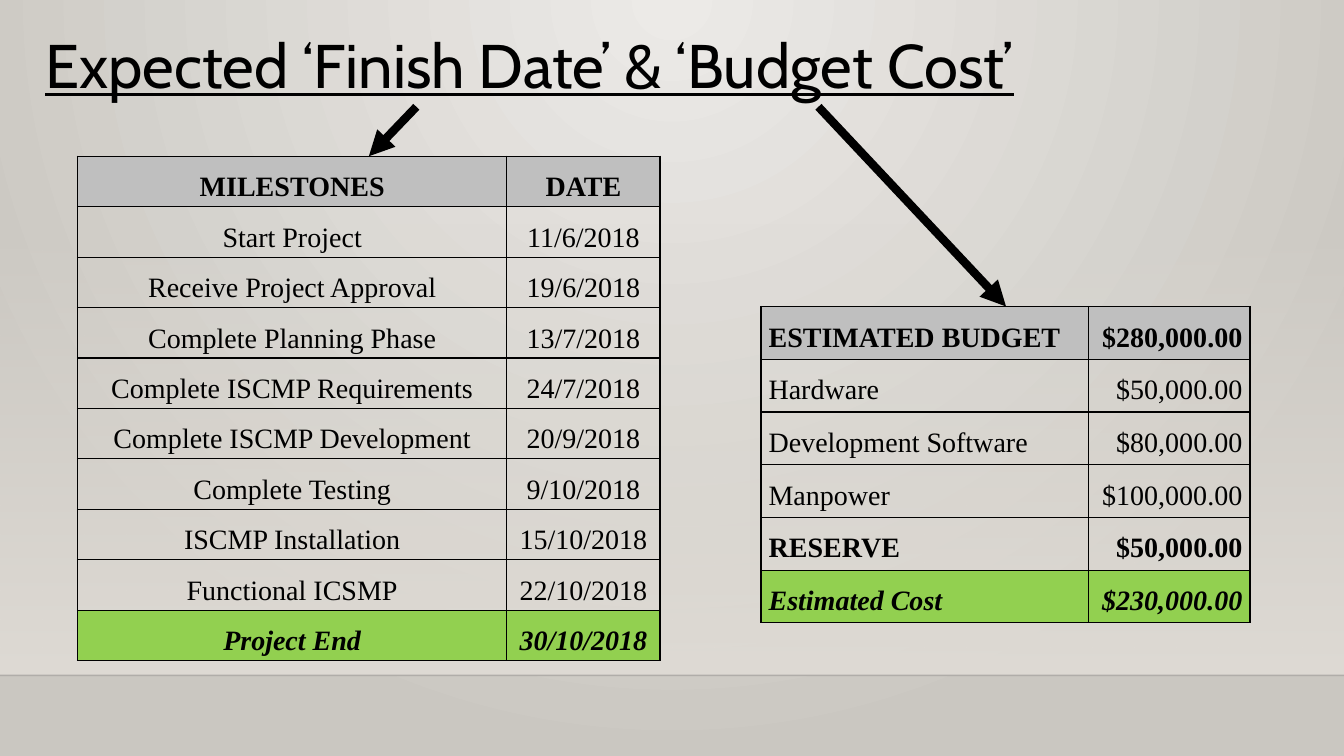
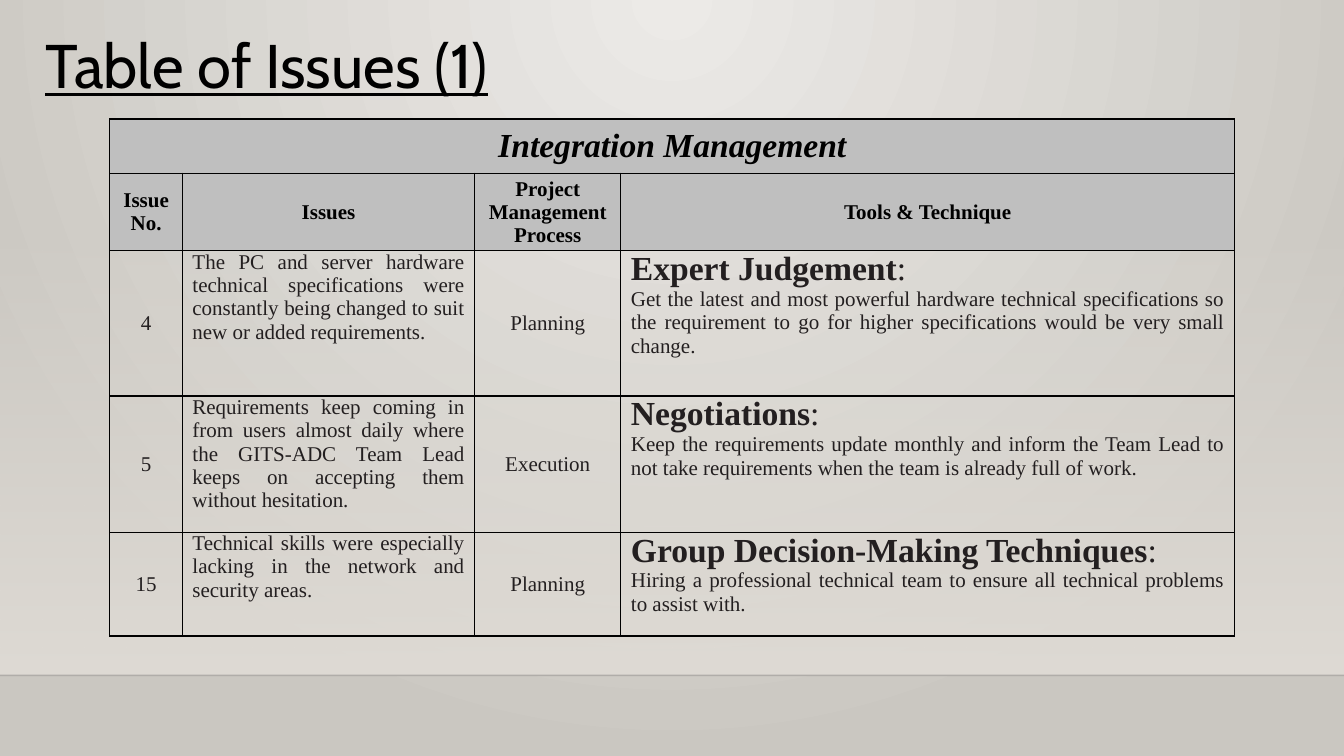
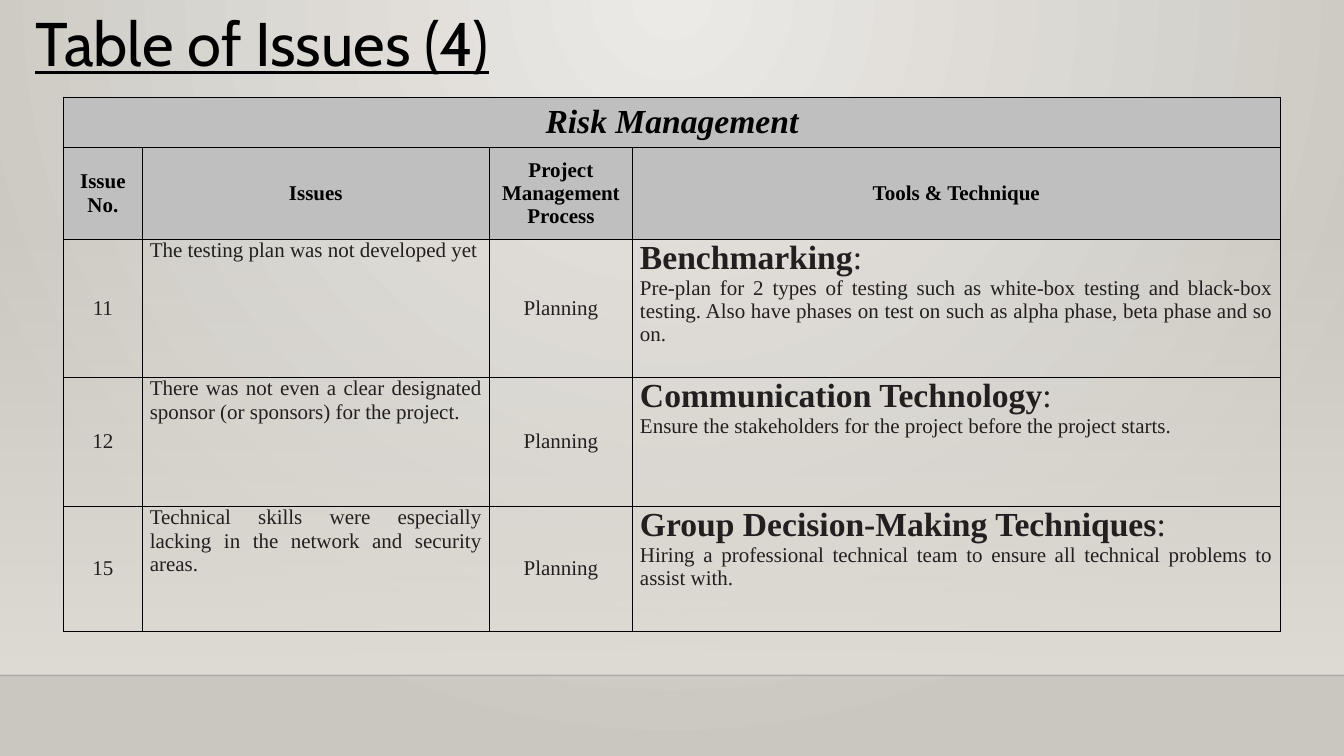
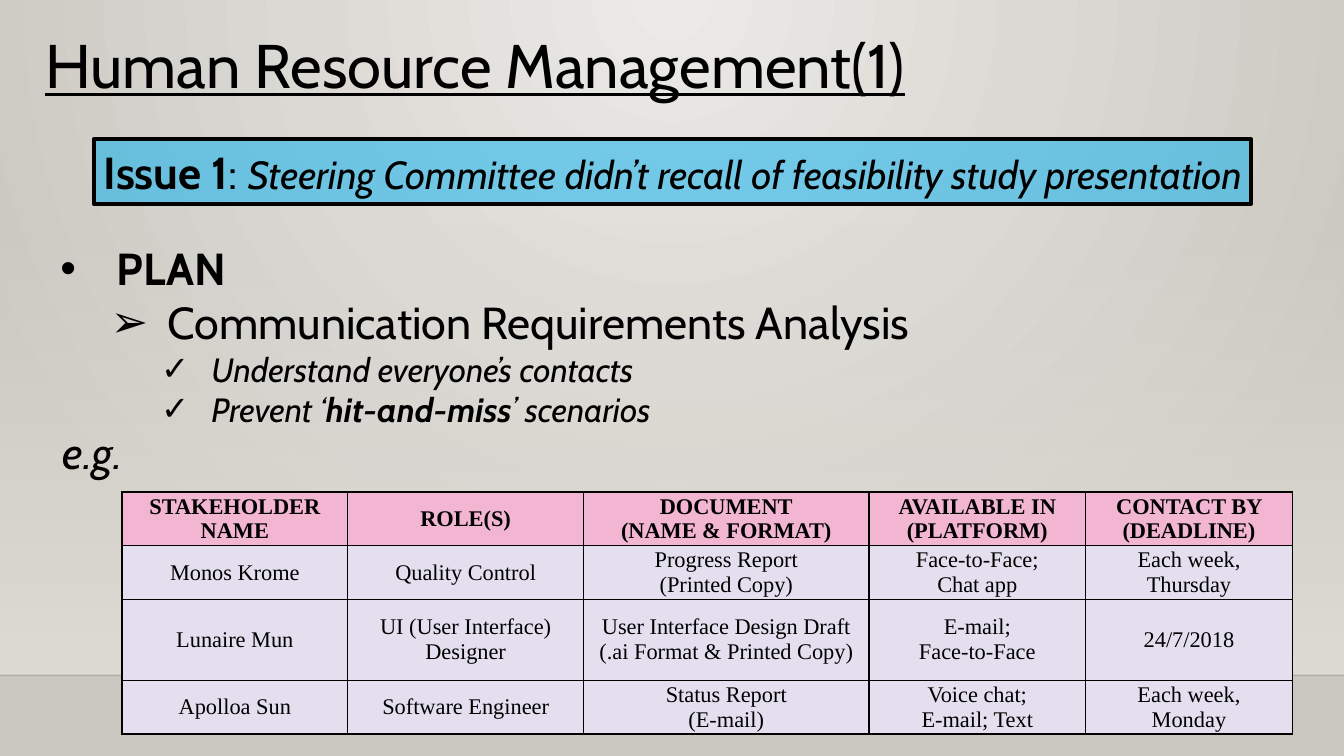
import dataclasses
import typing

import lxml.etree
import pptx
import pptx.dml.color
import pptx.dml.fill
import pptx.enum.shapes
import pptx.enum.text
import pptx.oxml.ns
import pptx.presentation
import pptx.slide
import pptx.table
import pptx.text.text
import pptx.util

Pt = pptx.util.Pt
qn = pptx.oxml.ns.qn
Align = pptx.enum.text.PP_ALIGN
Anchor = pptx.enum.text.MSO_ANCHOR

# Shared look
WIDE, HIGH = 960, 540
FLOOR = 482.4
SANS, SERIF = "Cabin", "Times New Roman"
HUES = {
    "black": "000000", "ink": "231F20", "grey": "BFBFBF", "green": "92D050",
    "pink": "F2B5D2", "lilac": "E4DFEF", "blue": "00B0F0",
    "light": "ECEAE7", "dark": "CAC7C1", "sand": "DFDBD5", "rule": "000001",
}


@dataclasses.dataclass(frozen=True)
class Run:
    text: str
    size: float
    bold: bool = False
    slant: bool = False
    under: bool = False


@dataclasses.dataclass(frozen=True)
class Line:
    runs: tuple[Run, ...]
    align: typing.Any = Align.LEFT
    space: float = 1.0
    mark: str = ""
    level: int = 0
    left: float = 0
    hang: float = 0


@dataclasses.dataclass(frozen=True)
class Cell:
    lines: tuple[Line, ...]
    fill: str = ""
    hue: str = "black"
    mid: bool = True
    pad: tuple[float, float] = (5.4, 0)


@dataclasses.dataclass(frozen=True)
class Grid:
    left: float
    top: float
    cols: tuple[float, ...]
    rows: tuple[float, ...]
    cells: list[list[Cell]]


@dataclasses.dataclass(frozen=True)
class Box:
    left: float
    top: float
    width: float
    height: float


@dataclasses.dataclass(frozen=True)
class Arrow:
    start: tuple[float, float]
    end: tuple[float, float]


def tint(name: str) -> pptx.dml.color.RGBColor:
    return pptx.dml.color.RGBColor.from_string(HUES[name])


def fade(node: typing.Any, share: int) -> None:
    """Give a colour node an opacity in percent."""
    lxml.etree.SubElement(node, qn("a:alpha"), val=str(share * 1000))


def blend(fill: pptx.dml.fill.FillFormat, first: str, last: str) -> None:
    fill.gradient()
    for stop, name in zip(fill.gradient_stops, (first, last)):
        stop.color.rgb = tint(name)


# Text
def write(frame: pptx.text.text.TextFrame, lines: tuple[Line, ...],
          face: str = SANS, hue: str = "black") -> None:
    for pos, line in enumerate(lines):
        para = frame.add_paragraph() if pos else frame.paragraphs[0]
        para.text = line.runs[0].text
        for more in line.runs[1:]:
            para.add_run().text = more.text
        para.alignment = line.align
        para.line_spacing = line.space
        para.level = line.level
        if line.mark:
            props = para._p.get_or_add_pPr()
            props.set("marL", str(Pt(line.left)))
            props.set("indent", str(Pt(-line.hang)))
            lxml.etree.SubElement(props, qn("a:buFont"), typeface="Arial")
            lxml.etree.SubElement(props, qn("a:buChar"), char=line.mark)
        for part, run in zip(para.runs, line.runs):
            font = part.font
            font.name, font.size = face, Pt(run.size)
            font.bold, font.italic = run.bold, run.slant
            font.underline = run.under
            font.color.rgb = tint(hue)


def place(slide: pptx.slide.Slide, box: Box, lines: tuple[Line, ...]) -> None:
    shape = slide.shapes.add_textbox(
        Pt(box.left), Pt(box.top), Pt(box.width), Pt(box.height))
    frame = shape.text_frame
    frame.word_wrap = True
    frame.auto_size = pptx.enum.text.MSO_AUTO_SIZE.SHAPE_TO_FIT_TEXT
    write(frame, lines)


def title(slide: pptx.slide.Slide, text: str, left: float = 25.2,
          top: float = 15.84, width: float = 803.5) -> None:
    place(slide, Box(left, top, width, 60.5),
          (Line((Run(text, 44, under=True),)),))


# Lines
def join(slide: pptx.slide.Slide, arrow: Arrow, name: str, width: float,
         head: bool = True) -> typing.Any:
    link = slide.shapes.add_connector(
        pptx.enum.shapes.MSO_CONNECTOR.STRAIGHT,
        *(Pt(val) for val in arrow.start + arrow.end))
    link.line.width = Pt(width)
    link.line.color.rgb = tint(name)
    if head:
        lxml.etree.SubElement(
            link.element.find(".//" + qn("a:ln")), qn("a:tailEnd"),
            type="triangle")
    lxml.etree.SubElement(link.element.spPr, qn("a:effectLst"))
    return link


# Tables
def edge(cell: pptx.table._Cell) -> None:
    props = cell._tc.get_or_add_tcPr()
    for side in "LRTB":
        line = lxml.etree.SubElement(props, qn("a:ln" + side), w=str(Pt(1)))
        solid = lxml.etree.SubElement(line, qn("a:solidFill"))
        lxml.etree.SubElement(solid, qn("a:srgbClr"), val=HUES["black"])


def dress(cell: pptx.table._Cell, style: Cell) -> None:
    edge(cell)
    if style.fill:
        cell.fill.solid()
        cell.fill.fore_color.rgb = tint(style.fill)
    else:
        cell.fill.background()
    cell.margin_left = cell.margin_right = Pt(style.pad[0])
    cell.margin_top = cell.margin_bottom = Pt(style.pad[1])
    cell.vertical_anchor = Anchor.MIDDLE if style.mid else Anchor.TOP


def draw(slide: pptx.slide.Slide, grid: Grid) -> None:
    """Draw a table; a row with a single cell spans every column."""
    table = slide.shapes.add_table(
        len(grid.rows), len(grid.cols), Pt(grid.left), Pt(grid.top),
        Pt(sum(grid.cols)), Pt(sum(grid.rows))).table
    table.first_row = table.horz_banding = False
    for col, width in zip(table.columns, grid.cols):
        col.width = Pt(width)
    for row, height in zip(table.rows, grid.rows):
        row.height = Pt(height)
    last = len(grid.cols) - 1
    for down, row in enumerate(grid.cells):
        for over in range(last + 1):
            cell = table.cell(down, over)
            style = row[min(over, len(row) - 1)]
            dress(cell, style)
            if over < len(row):
                write(cell.text_frame, style.lines, SERIF, style.hue)
        if len(row) == 1:
            table.cell(down, 0).merge(table.cell(down, last))


def ledger(pairs: list[tuple[str, str]], sides: tuple[typing.Any, ...],
           strong: tuple[int, ...] = ()) -> list[list[Cell]]:
    """Two columns with a grey head row and a green total row."""
    end = len(pairs) - 1
    fills = {0: "grey", end: "green"}
    return [
        [Cell((Line((Run(text, 20, pos in (0, end, *strong), pos == end),),
                    side, 1.5),), fills.get(pos, ""), mid=False)
         for text, side in zip(pair, sides)]
        for pos, pair in enumerate(pairs)]


def issues(name: str, items: list[tuple[str, ...]], pad: tuple[float, float],
           crown: tuple[float, float]) -> list[list[Cell]]:
    """Crown row, head row, then one row per issue."""
    def short(text: str, head: bool = False) -> Cell:
        return Cell((Line((Run(text, 15, head),), Align.CENTER),),
                    "grey" if head else "", "black" if head else "ink",
                    pad=pad)

    def prose(*lines: tuple[Run, ...]) -> Cell:
        return Cell(tuple(Line(runs, Align.JUSTIFY) for runs in lines),
                    hue="ink", mid=False, pad=pad)

    top = Cell((Line((Run(name, 24, True, True),), Align.CENTER),),
               "grey", pad=crown)
    heads = ("Issue No.", "Issues", "Project Management Process",
             "Tools & Technique")
    rows = [[top], [short(text, True) for text in heads]]
    for code, issue, phase, tool, note in items:
        rows.append([
            short(code), prose((Run(issue, 15),)), short(phase),
            prose((Run(tool, 24, True), Run(":", 24)), (Run(note, 15),))])
    return rows


def roster(rows: list[tuple[str, ...]]) -> list[list[Cell]]:
    """Pink head row over lilac rows; a line break starts a paragraph."""
    return [
        [Cell(tuple(Line((Run(line, 16, not pos),), Align.CENTER)
                    for line in text.split("\n")),
              "lilac" if pos else "pink") for text in row]
        for pos, row in enumerate(rows)]


# Backdrop on the master
def stage(deck: pptx.presentation.Presentation,
          slide: pptx.slide.Slide) -> None:
    base = deck.slide_master
    blend(base.background.fill, "light", "dark")
    grad = base.element.find(".//" + qn("p:bg")).find(
        ".//" + qn("a:gradFill"))
    grad.remove(grad.find(qn("a:lin")))
    ring = lxml.etree.SubElement(grad, qn("a:path"), {"path": "circle"})
    lxml.etree.SubElement(ring, qn("a:fillToRect"), l="43000", t="0",
                          r="43000", b="100000")

    top = 159.1
    band = slide.shapes.add_shape(
        pptx.enum.shapes.MSO_SHAPE.RECTANGLE,
        Pt(0), Pt(top), Pt(WIDE), Pt(FLOOR - top))
    band.shadow.inherit = False
    band.line.fill.background()
    blend(band.fill, "sand", "sand")
    band.fill.gradient_angle = 270
    fade(band.element.find(".//" + qn("a:srgbClr")), 0)

    rule = join(slide, Arrow((0, FLOOR), (WIDE, FLOOR)), "rule", 1, False)
    fade(rule.element.find(".//" + qn("a:srgbClr")), 20)

    tree = base.element.find(".//" + qn("p:spTree"))
    for code, part in enumerate((band, rule), 100):
        part.element.find(".//" + qn("p:cNvPr")).set("id", str(code))
        tree.append(part.element)


deck = pptx.Presentation()
deck.slide_width, deck.slide_height = Pt(WIDE), Pt(HIGH)
blank = deck.slide_layouts[6]

# Slide 1: dates and budget
slide = deck.slides.add_slide(blank)
stage(deck, slide)
title(slide, "Expected ‘Finish Date’ & ‘Budget Cost’")
budget = [
    ("ESTIMATED BUDGET", "$280,000.00"),
    ("Hardware", "$50,000.00"),
    ("Development Software", "$80,000.00"),
    ("Manpower", "$100,000.00"),
    ("RESERVE", "$50,000.00"),
    ("Estimated Cost", "$230,000.00"),
]
draw(slide, Grid(543.6, 218.9, (234, 115.2), (37.68,) * len(budget),
                 ledger(budget, (Align.JUSTIFY, Align.RIGHT), (4,))))
dates = [
    ("MILESTONES", "DATE"),
    ("Start Project", "11/6/2018"),
    ("Receive Project Approval", "19/6/2018"),
    ("Complete Planning Phase", "13/7/2018"),
    ("Complete ISCMP Requirements", "24/7/2018"),
    ("Complete ISCMP Development", "20/9/2018"),
    ("Complete Testing", "9/10/2018"),
    ("ISCMP Installation", "15/10/2018"),
    ("Functional ICSMP", "22/10/2018"),
    ("Project End", "30/10/2018"),
]
draw(slide, Grid(55.4, 111.6, (306.7, 109.4), (33.26,) * len(dates),
                 ledger(dates, (Align.CENTER, Align.CENTER))))
for arrow in (Arrow((297.4, 76.3), (263.5, 111.6)),
              Arrow((584.6, 76.3), (718.6, 218.9))):
    join(slide, arrow, "black", 6)

# Slide 2: integration issues
skills = (
    "15",
    "Technical skills were especially lacking in the network and security "
    "areas.",
    "Planning", "Group Decision-Making Techniques",
    "Hiring a professional technical team to ensure all technical problems "
    "to assist with.")
slide = deck.slides.add_slide(blank)
title(slide, "Table of Issues (1)")
draw(slide, Grid(
    78.5, 85, (51.8, 208.8, 104.4, 438.5), (18.7, 55.4, 103.7, 97.2, 74.2),
    issues("Integration Management", [
        ("4",
         "The PC and server hardware technical specifications were "
         "constantly being changed to suit new or added requirements.",
         "Planning", "Expert Judgement",
         "Get the latest and most powerful hardware technical specifications "
         "so the requirement to go for higher specifications would be very "
         "small change."),
        ("5",
         "Requirements keep coming in from users almost daily where the "
         "GITS-ADC Team Lead keeps on accepting them without hesitation.",
         "Execution", "Negotiations",
         "Keep the requirements update monthly and inform the Team Lead to "
         "not take requirements when the team is already full of work."),
        skills,
    ], (7.2, 0), (10, 5))))

# Slide 3: risk issues
slide = deck.slides.add_slide(blank)
draw(slide, Grid(
    45.4, 69.4, (56.2, 248, 102.2, 462.8), (36, 65.5, 98.6, 92.2, 89.3),
    issues("Risk Management", [
        ("11", "The testing plan was not developed yet",
         "Planning", "Benchmarking",
         "Pre-plan for 2 types of testing such as white-box testing and "
         "black-box testing. Also have phases on test on such as alpha "
         "phase, beta phase and so on."),
        ("12",
         "There was not even a clear designated sponsor (or sponsors) for "
         "the project.",
         "Planning", "Communication Technology",
         "Ensure the stakeholders for the project before the project "
         "starts."),
        skills,
    ], (5.4, 0), (5.4, 0))))
title(slide, "Table of Issues (4)", 18, 0)

# Slide 4: people
slide = deck.slides.add_slide(blank)
title(slide, "Human Resource Management(1)", width=643)
check = {"mark": "✓", "level": 2, "left": 108, "hang": 36}
place(slide, Box(36, 168.5, 729.4, 143.3), (
    Line((Run("PLAN", 32, True),), mark="•", left=40.5, hang=40.5),
    Line((Run("Communication Requirements Analysis", 32),), mark="➢",
         level=1, left=76.5, hang=40.5),
    Line((Run("Understand everyone’s contacts", 24, slant=True),), **check),
    Line((Run("Prevent ‘", 24, slant=True),
          Run("hit-and-miss", 24, True, True),
          Run("’ scenarios", 24, slant=True)), **check),
))

# Issue banner
panel = slide.shapes.add_shape(
    pptx.enum.shapes.MSO_SHAPE.RECTANGLE,
    Pt(67), Pt(99.4), Pt(826.6), Pt(46.1))
panel.shadow.inherit = False
panel.fill.solid()
panel.fill.fore_color.rgb = tint("blue")
fade(panel.element.find(".//" + qn("a:srgbClr")), 50)
panel.line.width = Pt(3)
panel.line.color.rgb = tint("black")
panel.text_frame.word_wrap = False
write(panel.text_frame, (Line((
    Run("Issue 1", 32, True), Run(": ", 32),
    Run("Steering Committee didn’t recall of feasibility study presentation",
        28, slant=True)), Align.CENTER),))

# Contact table
draw(slide, Grid(
    87.1, 351.4, (161.3, 168.5, 203.8, 154.8, 147.6),
    (28.1, 36.7, 57.6, 36.7),
    roster([
        ("STAKEHOLDER NAME", "ROLE(S)", "DOCUMENT\n(NAME & FORMAT)",
         "AVAILABLE IN (PLATFORM)", "CONTACT BY (DEADLINE)"),
        ("Monos Krome", "Quality Control", "Progress Report\n(Printed Copy)",
         "Face-to-Face;\nChat app", "Each week, Thursday"),
        ("Lunaire Mun", "UI (User Interface) Designer",
         "User Interface Design Draft (.ai Format & Printed Copy)",
         "E-mail;\nFace-to-Face", "24/7/2018"),
        ("Apolloa Sun", "Software Engineer", "Status Report\n(E-mail)",
         "Voice chat;\nE-mail; Text", "Each week,\nMonday"),
    ])))
place(slide, Box(31, 300.2, 70.6, 46.1),
      (Line((Run("e.g.", 32, slant=True),), Align.CENTER),))

deck.save("out.pptx")
